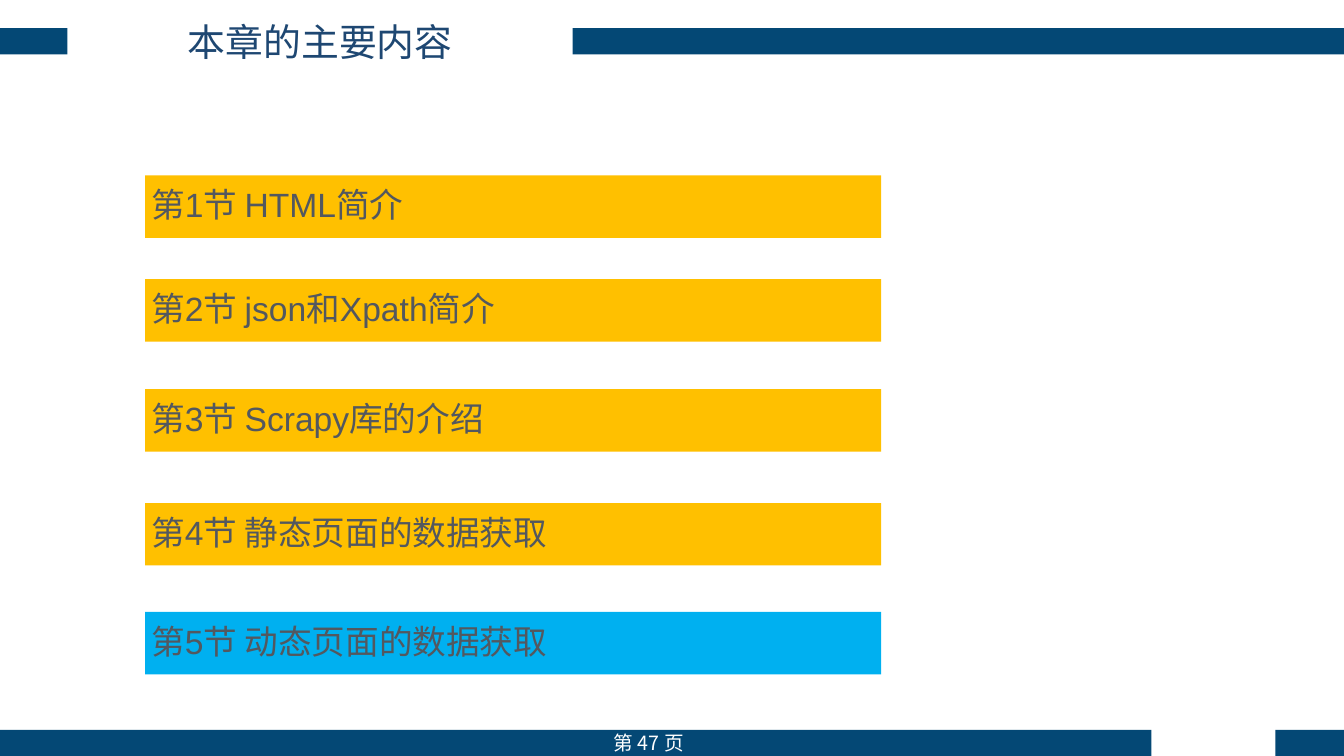
from typing import NamedTuple

from lxml import etree
from pptx import Presentation
from pptx.dml.color import RGBColor
from pptx.enum.shapes import MSO_SHAPE
from pptx.enum.text import MSO_ANCHOR, PP_ALIGN
from pptx.oxml.ns import qn
from pptx.util import Inches, Pt

RECTANGLE = MSO_SHAPE.RECTANGLE
MIDDLE, TOP = MSO_ANCHOR.MIDDLE, MSO_ANCHOR.TOP
CENTER, LEFT = PP_ALIGN.CENTER, PP_ALIGN.LEFT
LATIN_FONT, CHINESE_FONT = "Arial", "Noto Sans CJK SC"
NAVY, TITLE_BLUE, GRAY, WHITE = "044875", "1E4772", "53585F", "FFFFFF"
AMBER, CURRENT_BLUE = "FFC000", "00B0F0"
HANGING_INDENT = Inches(0.35)


class Box(NamedTuple):
    left: float
    top: float
    width: float
    height: float


class Section(NamedTuple):
    title: str
    top: float
    fill: str = AMBER


class TextStyle(NamedTuple):
    size: float
    color: str
    font: str
    align: PP_ALIGN
    anchor: MSO_ANCHOR
    margin: float


BANDS = [
    Box(0, 0.28, 0.67, 0.26),
    Box(5.68, 0.28, 7.65, 0.26),
    Box(0, 7.24, 11.42, 0.26),
    Box(12.65, 7.24, 0.68, 0.26),
]
SECTIONS = [
    Section("第1节 HTML简介", 1.74),
    Section("第2节 json和Xpath简介", 2.77),
    Section("第3节 Scrapy库的介绍", 3.86),
    Section("第4节 静态页面的数据获取", 4.99),
    Section("第5节 动态页面的数据获取", 6.07, CURRENT_BLUE),
]
TITLE_STYLE = TextStyle(27, TITLE_BLUE, CHINESE_FONT, CENTER, MIDDLE, 0.05)
PAGE_STYLE = TextStyle(14, WHITE, CHINESE_FONT, CENTER, TOP, 0.05)
SECTION_STYLE = TextStyle(24, GRAY, LATIN_FONT, LEFT, MIDDLE, 0.06)


def rgb(color: str) -> RGBColor:
    return RGBColor.from_string(color)


def place(box: Box) -> list[int]:
    return [Inches(length) for length in box]


def add_bar(slide, box: Box, fill: str):
    bar = slide.shapes.add_shape(RECTANGLE, *place(box))
    bar.shadow.inherit = False
    bar.fill.solid()
    bar.fill.fore_color.rgb = rgb(fill)
    bar.line.fill.background()
    return bar


def write(shape, text: str, style: TextStyle):
    """Fill the shape with one styled line and return its paragraph."""
    frame = shape.text_frame
    frame.text = text
    frame.word_wrap = True
    frame.vertical_anchor = style.anchor
    frame.margin_left = frame.margin_right = Inches(style.margin)
    frame.margin_top = frame.margin_bottom = Inches(style.margin)
    line = frame.paragraphs[0]
    line.alignment = style.align
    for run in line.runs:
        run.font.size = Pt(style.size)
        run.font.color.rgb = rgb(style.color)
        run.font.name = style.font
        east_asian = etree.SubElement(run.font._element, qn("a:ea"))
        east_asian.set("typeface", CHINESE_FONT)
    return line


def add_label(slide, box: Box, text: str, style: TextStyle) -> None:
    write(slide.shapes.add_textbox(*place(box)), text, style)


def add_section(slide, section: Section) -> None:
    bar = add_bar(slide, Box(1.44, section.top, 7.3, 0.62), section.fill)
    line = write(bar, section.title, SECTION_STYLE)
    line.line_spacing = 0.9
    properties = line._p.get_or_add_pPr()
    properties.set("marL", str(HANGING_INDENT))
    properties.set("indent", str(-HANGING_INDENT))


def main() -> None:
    deck = Presentation()
    deck.slide_width, deck.slide_height = Inches(13.33), Inches(7.5)
    slide = deck.slides.add_slide(deck.slide_layouts[6])
    for band in BANDS:
        add_bar(slide, band, NAVY)
    add_label(slide, Box(5.8, 7.2, 1.27, 0.34), "第 47 页", PAGE_STYLE)
    add_label(slide, Box(0.67, 0.13, 5.01, 0.56), "本章的主要内容", TITLE_STYLE)
    for section in SECTIONS:
        add_section(slide, section)
    deck.save("out.pptx")


if __name__ == "__main__":
    main()
